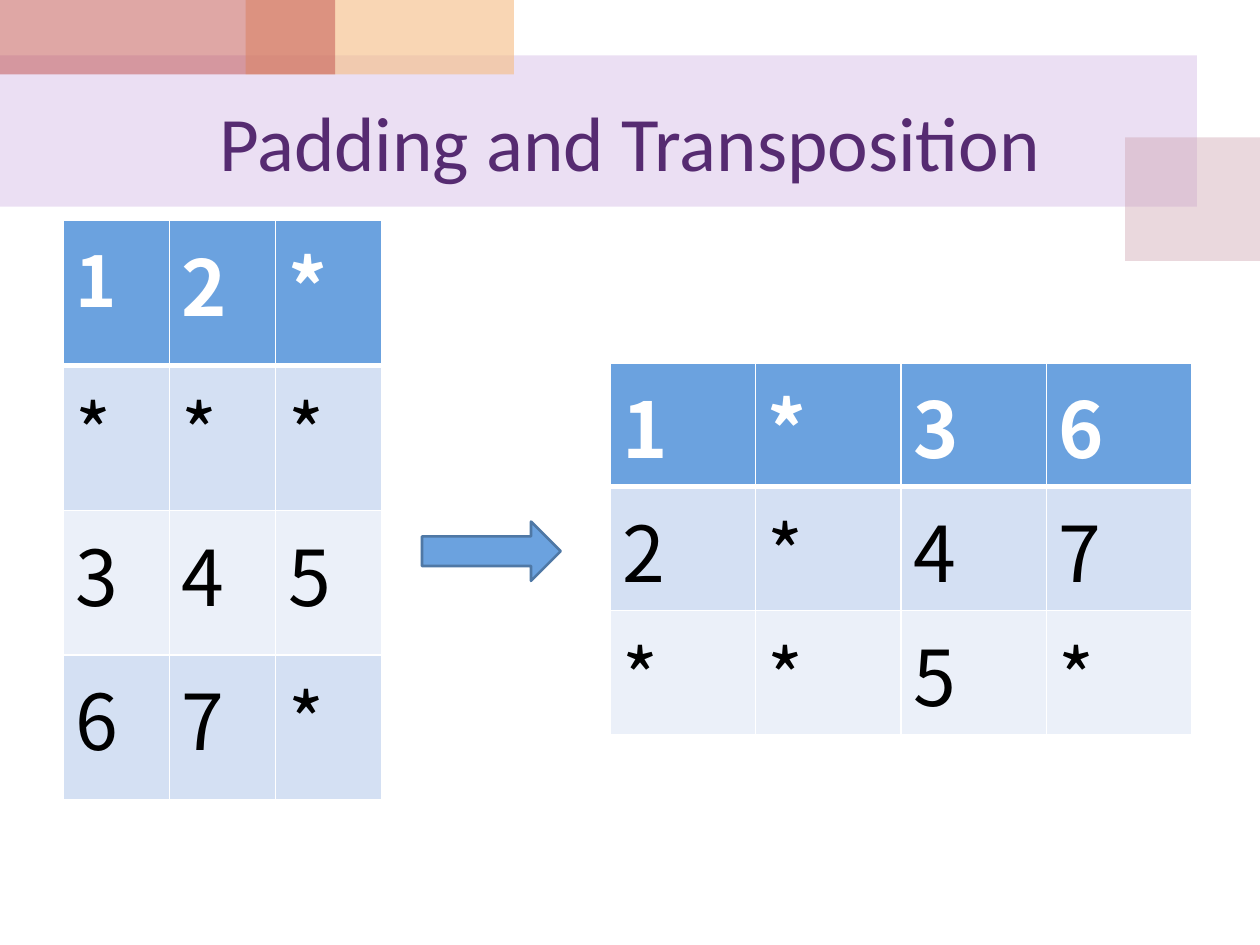
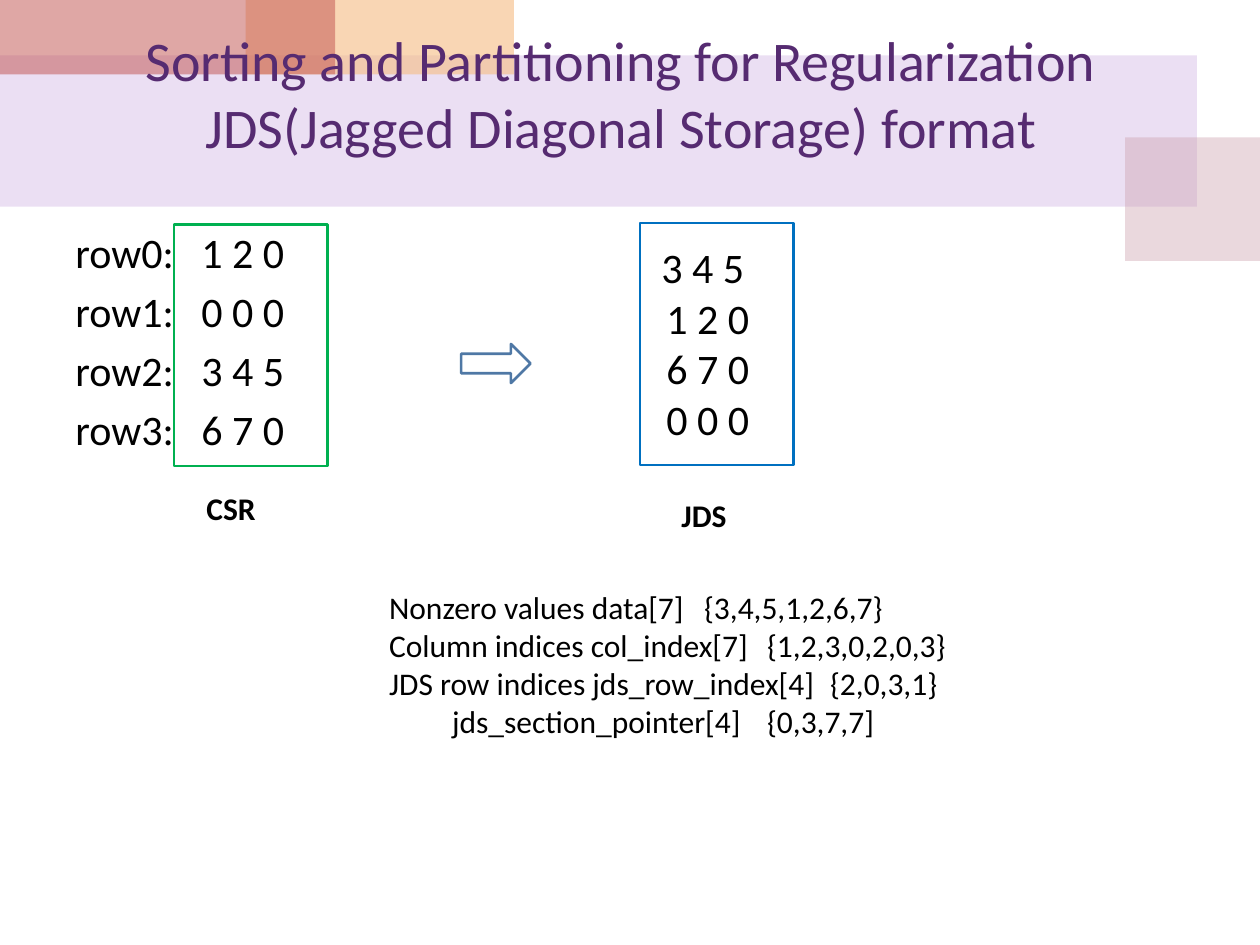
"""Build two slides on matrix padding, transposition and the JDS format."""
from dataclasses import dataclass
from typing import Optional

from lxml import etree
from pptx import Presentation
from pptx.dml.color import RGBColor
from pptx.enum.shapes import MSO_SHAPE
from pptx.enum.text import MSO_ANCHOR, PP_ALIGN
from pptx.oxml.ns import qn
from pptx.presentation import Presentation as PresentationType
from pptx.shapes.autoshape import Shape
from pptx.slide import Slide
from pptx.table import _Cell
from pptx.text.text import _Paragraph
from pptx.util import Inches, Pt

RECTANGLE = MSO_SHAPE.RECTANGLE
RIGHT_ARROW = MSO_SHAPE.RIGHT_ARROW
MIDDLE = MSO_ANCHOR.MIDDLE
TOP = MSO_ANCHOR.TOP
LEFT = PP_ALIGN.LEFT
CENTER = PP_ALIGN.CENTER
BLANK_LAYOUT = 6


@dataclass(frozen=True)
class Theme:
    """Hold the fonts, colours and type sizes of the deck."""

    font: str = "Calibri"
    table_font: str = "Noto Sans CJK KR"
    title: str = "562B71"
    text: str = "000000"
    white: str = "FFFFFF"
    blue: str = "6BA2DF"
    arrow_line: str = "4F78A5"
    stripes: tuple[str, str] = ("D4E0F3", "EBF0F9")
    csr_frame: str = "00B050"
    jds_frame: str = "0070C0"
    title_size: int = 44
    long_title_size: int = 32
    cell_size: int = 44
    small_cell_size: int = 40
    matrix_size: int = 24
    note_size: int = 18
    outline: float = 1.5
    thin_border: int = 1
    thick_border: int = 3


THEME = Theme()


@dataclass(frozen=True)
class Box:
    """Place an element, in inches."""

    left: float
    top: float
    width: float
    height: float

    def lengths(self) -> tuple[int, int, int, int]:
        """Return the placement as lengths."""
        return (Inches(self.left), Inches(self.top),
                Inches(self.width), Inches(self.height))


@dataclass(frozen=True)
class Band:
    """Describe a translucent decoration band."""

    box: Box
    color: str
    opacity: int


@dataclass(frozen=True)
class Figure:
    """Describe an outlined preset shape."""

    preset: MSO_SHAPE
    box: Box
    line: str
    fill: Optional[str] = None


@dataclass(frozen=True)
class Line:
    """Describe a paragraph with its indent and tab stops in inches."""

    text: str
    tabs: tuple[float, ...] = ()
    indent: float = 0


@dataclass(frozen=True)
class TextBlock:
    """Describe a text box."""

    box: Box
    lines: tuple[Line, ...]
    size: int
    bold: bool = False
    color: str = THEME.text
    align: PP_ALIGN = LEFT
    anchor: MSO_ANCHOR = TOP
    gap: float = 0


@dataclass(frozen=True)
class Matrix:
    """Describe a table of single symbols, one string per row."""

    box: Box
    rows: tuple[str, ...]
    first_size: int = THEME.cell_size


BANDS = (
    Band(Box(0, 0.44, 9.5, 1.2), "BF98D8", 30),
    Band(Box(8.93, 1.09, 1.07, 0.98), "CC9EAC", 40),
    Band(Box(1.95, 0, 2.13, 0.59), "F5BC83", 60),
    Band(Box(0, 0, 2.66, 0.59), "C0504D", 50),
)
MATRICES = (
    Matrix(Box(0.5, 1.75, 2.53, 4.6), ("12*", "***", "345", "67*"),
           THEME.small_cell_size),
    Matrix(Box(4.84, 2.88, 4.62, 2.95), ("1*36", "2*47", "**5*")),
)
TRANSPOSE_ARROW = Figure(RIGHT_ARROW, Box(3.35, 4.14, 1.1, 0.47),
                         THEME.arrow_line, THEME.blue)
JDS_FIGURES = (
    Figure(RECTANGLE, Box(1.38, 1.78, 1.22, 1.92), THEME.csr_frame),
    Figure(RIGHT_ARROW, Box(3.66, 2.73, 0.55, 0.31), THEME.arrow_line),
    Figure(RECTANGLE, Box(5.08, 1.77, 1.22, 1.92), THEME.jds_frame),
)
CSR_ROWS = ("1 2 0", "0 0 0", "3 4 5", "6 7 0")
JDS_TEXTS = (
    TextBlock(
        Box(0.5, 1.75, 9, 4.95),
        tuple(Line(f"row{number}:\t{row}", (0.93,))
              for number, row in enumerate(CSR_ROWS)),
        THEME.matrix_size, gap=4.8),
    TextBlock(Box(1.54, 3.83, 1.18, 0.4), (Line("CSR"),),
              THEME.note_size, bold=True),
    TextBlock(
        Box(5.04, 1.87, 3.31, 2.02),
        (Line("3 4 5", indent=0.11), Line("1 2 0", indent=0.15),
         Line("6 7 0", indent=0.15), Line("0 0 0", indent=0.15)),
        THEME.matrix_size),
    TextBlock(Box(5.31, 3.89, 0.79, 0.4), (Line("JDS"),),
              THEME.note_size, bold=True),
    TextBlock(
        Box(2.99, 4.62, 6.34, 1.31),
        (Line("Nonzero values data[7]\t{3,4,5,1,2,6,7}", (4,)),
         Line("Column indices col_index[7]\t{1,2,3,0,2,0,3}", (4,)),
         Line("JDS row indices jds_row_index[4]\t{2,0,3,1}", (4,)),
         Line("\tjds_section_pointer[4]\t{0,3,7,7]", (1.45, 4))),
        THEME.note_size),
)


def rgb(color: str) -> RGBColor:
    """Convert a hexadecimal colour."""
    return RGBColor.from_string(color)


def add_preset(slide: Slide, preset: MSO_SHAPE, box: Box) -> Shape:
    """Add a preset shape without a shadow."""
    shape = slide.shapes.add_shape(preset, *box.lengths())
    shape.shadow.inherit = False
    return shape


def draw_band(slide: Slide, band: Band) -> None:
    """Draw a translucent band."""
    shape = add_preset(slide, RECTANGLE, band.box)
    shape.fill.solid()
    shape.fill.fore_color.rgb = rgb(band.color)
    color = shape.fill._xPr.find(qn("a:solidFill"))[0]
    etree.SubElement(color, qn("a:alpha"), val=str(band.opacity * 1000))
    shape.line.fill.background()


def draw_figure(slide: Slide, figure: Figure) -> None:
    """Draw an outlined shape, filled if it has a fill colour."""
    shape = add_preset(slide, figure.preset, figure.box)
    if figure.fill:
        shape.fill.solid()
        shape.fill.fore_color.rgb = rgb(figure.fill)
    else:
        shape.fill.background()
    shape.line.color.rgb = rgb(figure.line)
    shape.line.width = Pt(THEME.outline)


def set_layout(paragraph: _Paragraph, line: Line) -> None:
    """Set the indent and tab stops of a paragraph."""
    properties = paragraph._p.get_or_add_pPr()
    properties.set("marL", str(Inches(line.indent)))
    properties.set("indent", "0")
    if line.tabs:
        tab_list = etree.SubElement(properties, qn("a:tabLst"))
        for position in line.tabs:
            etree.SubElement(tab_list, qn("a:tab"),
                             pos=str(Inches(position)), algn="l")


def style_runs(paragraph: _Paragraph, font: str, size: int,
               color: str, bold: bool) -> None:
    """Format all runs of a paragraph."""
    for run in paragraph.runs:
        run.font.name = font
        run.font.size = Pt(size)
        run.font.bold = bold
        run.font.color.rgb = rgb(color)


def draw_text(slide: Slide, block: TextBlock) -> None:
    """Draw a text box."""
    text_frame = slide.shapes.add_textbox(*block.box.lengths()).text_frame
    text_frame.word_wrap = True
    text_frame.vertical_anchor = block.anchor
    text_frame.text = "\n".join(line.text for line in block.lines)
    for index, (paragraph, line) in enumerate(
            zip(text_frame.paragraphs, block.lines)):
        set_layout(paragraph, line)
        paragraph.alignment = block.align
        if index and block.gap:
            paragraph.space_before = Pt(block.gap)
        style_runs(paragraph, THEME.font, block.size, block.color, block.bold)


def set_borders(cell: _Cell, row: int) -> None:
    """Give a cell white borders, thick between header and body."""
    properties = cell._tc.get_or_add_tcPr()
    thick_side = {0: "B", 1: "T"}.get(row)
    for side in "LRTB":
        width = THEME.thick_border if side == thick_side else THEME.thin_border
        border = etree.SubElement(properties, qn(f"a:ln{side}"), w=str(Pt(width)))
        fill = etree.SubElement(border, qn("a:solidFill"))
        etree.SubElement(fill, qn("a:srgbClr"), val=THEME.white)


def draw_matrix(slide: Slide, matrix: Matrix) -> None:
    """Draw a matrix as a table with a header row and striped body."""
    row_count, column_count = len(matrix.rows), len(matrix.rows[0])
    table = slide.shapes.add_table(
        row_count, column_count, *matrix.box.lengths()).table
    for table_row in table.rows:
        table_row.height = Inches(matrix.box.height / row_count)
    for row, symbols in enumerate(matrix.rows):
        header = row == 0
        for column, symbol in enumerate(symbols):
            cell = table.cell(row, column)
            cell.text_frame.text = symbol
            size = THEME.cell_size if row or column else matrix.first_size
            style_runs(cell.text_frame.paragraphs[0], THEME.table_font, size,
                       THEME.white if header else THEME.text, header)
            set_borders(cell, row)
            cell.fill.solid()
            cell.fill.fore_color.rgb = rgb(
                THEME.blue if header else THEME.stripes[(row - 1) % 2])


def add_slide(presentation: PresentationType, title: str, box: Box,
              size: int) -> Slide:
    """Add a slide with the shared bands and title style."""
    slide = presentation.slides.add_slide(
        presentation.slide_layouts[BLANK_LAYOUT])
    for band in BANDS:
        draw_band(slide, band)
    draw_text(slide, TextBlock(box, (Line(title),), size, color=THEME.title,
                               align=CENTER, anchor=MIDDLE))
    return slide


def main() -> None:
    """Build and save the presentation."""
    presentation = Presentation()
    presentation.slide_width = Inches(10)
    presentation.slide_height = Inches(7.5)

    slide = add_slide(presentation, "Padding and Transposition",
                      Box(0.5, 0.59, 9, 1.05), THEME.title_size)
    for matrix in MATRICES:
        draw_matrix(slide, matrix)
    draw_figure(slide, TRANSPOSE_ARROW)

    slide = add_slide(
        presentation,
        "Sorting and Partitioning for Regularization\v"
        "JDS(Jagged Diagonal Storage) format",
        Box(0.43, 0.21, 9, 1.05), THEME.long_title_size)
    for block in JDS_TEXTS:
        draw_text(slide, block)
    for figure in JDS_FIGURES:
        draw_figure(slide, figure)

    presentation.save("out.pptx")


if __name__ == "__main__":
    main()
